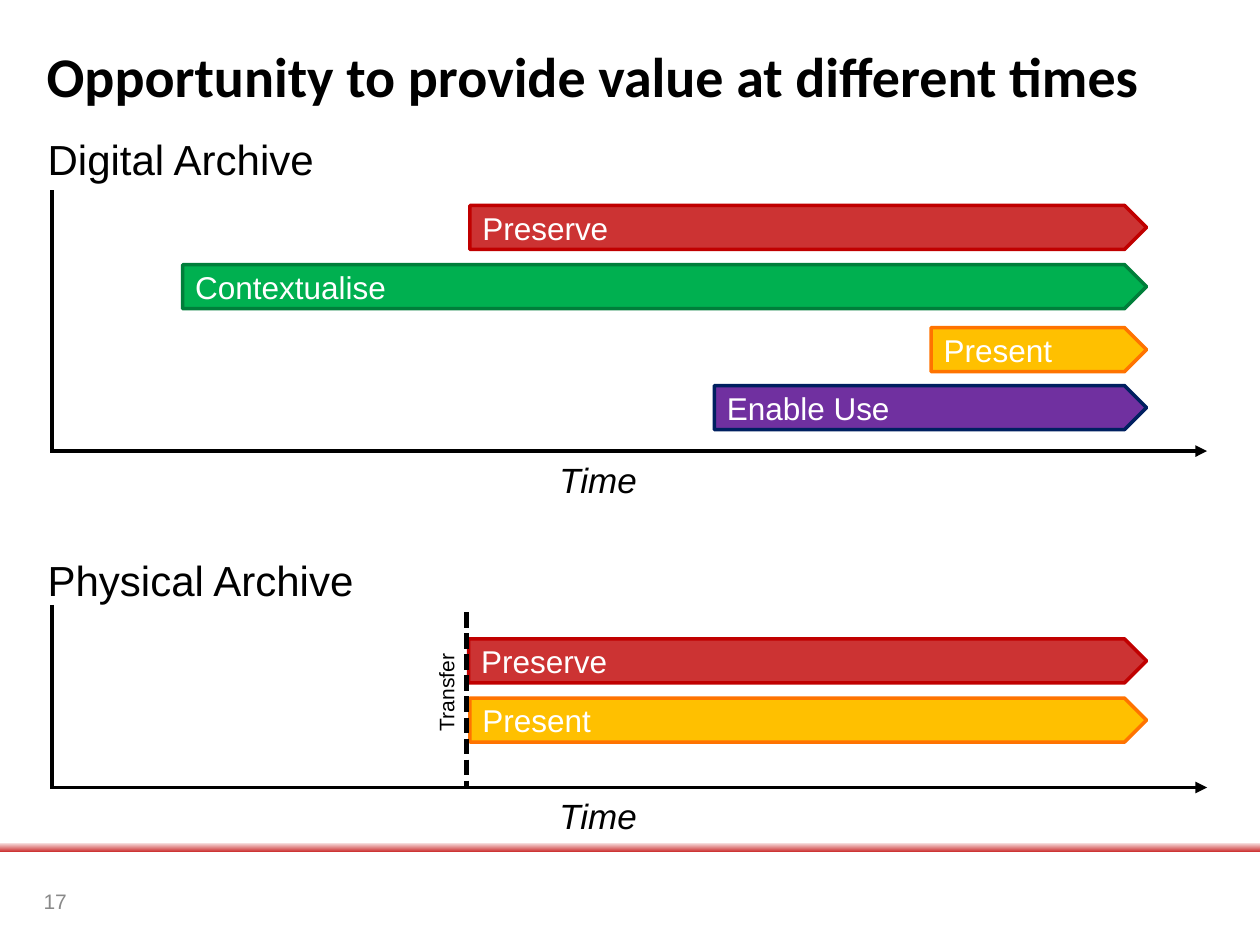
from dataclasses import dataclass

from lxml.etree import SubElement
from pptx import Presentation
from pptx.dml.color import RGBColor as RGB
from pptx.enum.dml import MSO_LINE as Dash
from pptx.enum.shapes import MSO_CONNECTOR as Link, MSO_SHAPE as Shape
from pptx.enum.text import MSO_ANCHOR as Anchor, PP_ALIGN as Align
from pptx.oxml.ns import qn
from pptx.util import Inches, Pt


@dataclass(frozen=True)
class Theme:
    """Hold the fonts, type sizes and colours of the slide."""
    head: str = "Calibri"
    body: str = "Arial"
    title: int = 32
    label: int = 24
    axis: int = 20
    bar: int = 18
    small: int = 12
    ink: str = "000000"
    paper: str = "FFFFFF"
    grey: str = "898989"
    accent: str = "CC3333"
    red: tuple = ("CC3333", "C00000")
    green: tuple = ("00B050", "007E3A")
    gold: tuple = ("FFC000", "FF7300")
    violet: tuple = ("7030A0", "002060")


THEME = Theme()
BAR_END, BAR_H = 9.1, 0.35


def style(par, size, color, name=THEME.body, **looks):
    """Set the font of a paragraph."""
    font = par.font
    font.name, font.size = name, Pt(size)
    font.color.rgb = RGB.from_string(color)
    for key, value in looks.items():
        setattr(font, key, value)


def add_text(slide, box, text, size, color=THEME.ink, align=Align.LEFT, **looks):
    """Add a one-line text box."""
    item = slide.shapes.add_textbox(*map(Inches, box))
    par = item.text_frame.paragraphs[0]
    par.text, par.alignment = text, align
    style(par, size, color, **looks)
    return item


def add_line(slide, start, end, width=2.25, dash=None, arrow=False):
    """Draw a straight line, with an arrowhead at its end if asked."""
    item = slide.shapes.add_connector(Link.STRAIGHT, *map(Inches, start + end))
    line = item.line
    line.width = Pt(width)
    line.color.rgb = RGB.from_string(THEME.ink)
    if dash:
        line.dash_style = dash
    if arrow:
        SubElement(line._ln, qn("a:tailEnd"), type="triangle")
    SubElement(item._element.spPr, qn("a:effectLst"))


def add_bar(slide, left, top, text, hues):
    """Add a pointed bar that runs to the common end."""
    box = left, top, BAR_END - left, BAR_H
    item = slide.shapes.add_shape(Shape.PENTAGON, *map(Inches, box))
    item.shadow.inherit = False
    fill, edge = map(RGB.from_string, hues)
    item.fill.solid()
    item.fill.fore_color.rgb = fill
    item.line.color.rgb = edge
    item.line.width = Pt(2)
    frame = item.text_frame
    frame.vertical_anchor = Anchor.MIDDLE
    par = frame.paragraphs[0]
    par.text, par.alignment = text, Align.LEFT
    style(par, THEME.bar, THEME.paper)


def add_panel(slide, box, name, lift, bars):
    """Draw a timeline whose axes bound the box, with its name and bars."""
    left, top, width, height = box
    base = top + height
    for start, drop, text, hues in bars:
        add_bar(slide, start, top + drop, text, hues)
    add_line(slide, (left, top), (left, base))
    add_line(slide, (left - 0.01, base), (left + width, base), arrow=True)
    add_text(slide, (4.34, base + 0.01, 0.82, 0.44), "Time", THEME.axis, italic=True)
    add_text(slide, (left - 0.13, top - lift, 2.64, 0.5), name, THEME.label)


def add_mark(slide, box, text):
    """Draw a dashed mark on the right edge of the box, with a turned label."""
    left, top, width, height = box
    right = left + width
    add_line(slide, (right, top), (right, top + height), 3, Dash.SQUARE_DOT)
    item = add_text(slide, (left, 5.34, 0.82, 0.3), text, THEME.small)
    item.rotation = 270


def add_title(slide, box, text):
    """Place and format the title."""
    item = slide.shapes.title
    item.left, item.top, item.width, item.height = map(Inches, box)
    frame = item.text_frame
    frame.vertical_anchor = Anchor.MIDDLE
    par = frame.paragraphs[0]
    par.text, par.alignment = text, Align.LEFT
    style(par, THEME.title, THEME.ink, THEME.head, bold=True)


def add_foot(slide, box, number):
    """Add the fading rule and the page number under it."""
    left, top, width, height = box
    rule = slide.shapes.add_shape(Shape.RECTANGLE, *map(Inches, box))
    rule.shadow.inherit = False
    rule.line.fill.background()
    rule.fill.gradient()
    rule.fill.gradient_angle = 90
    for stop, hue in zip(rule.fill.gradient_stops, (THEME.accent, THEME.paper)):
        stop.color.rgb = RGB.from_string(hue)
    page = add_text(slide, (left + 0.03, top + 0.27, 0.6, 0.4), number,
                    THEME.small, THEME.grey, Align.RIGHT)
    page.text_frame.vertical_anchor = Anchor.MIDDLE


def main():
    """Build and save the slide."""
    deck = Presentation()
    deck.slide_width, deck.slide_height = Inches(10), Inches(7.5)
    slide = deck.slides.add_slide(deck.slide_layouts[5])
    add_foot(slide, (0, 6.68, 10, 0.08), "17")
    add_title(slide, (0.27, 0.33, 9.45, 0.53),
              "Opportunity to provide value at different times")
    add_panel(slide, (0.41, 1.51, 9.17, 2.07), "Digital Archive", 0.5, [
        (3.73, 0.12, "Preserve", THEME.red),
        (1.45, 0.59, "Contextualise", THEME.green),
        (7.39, 1.09, "Present", THEME.gold),
        (5.67, 1.55, "Enable Use", THEME.violet),
    ])
    add_panel(slide, (0.41, 4.8, 9.17, 1.45), "Physical Archive", 0.45, [
        (3.72, 0.27, "Preserve", THEME.red),
        (3.73, 0.74, "Present", THEME.gold),
    ])
    add_mark(slide, (3.13, 4.86, 0.57, 1.39), "Transfer")
    deck.save("out.pptx")


if __name__ == "__main__":
    main()
